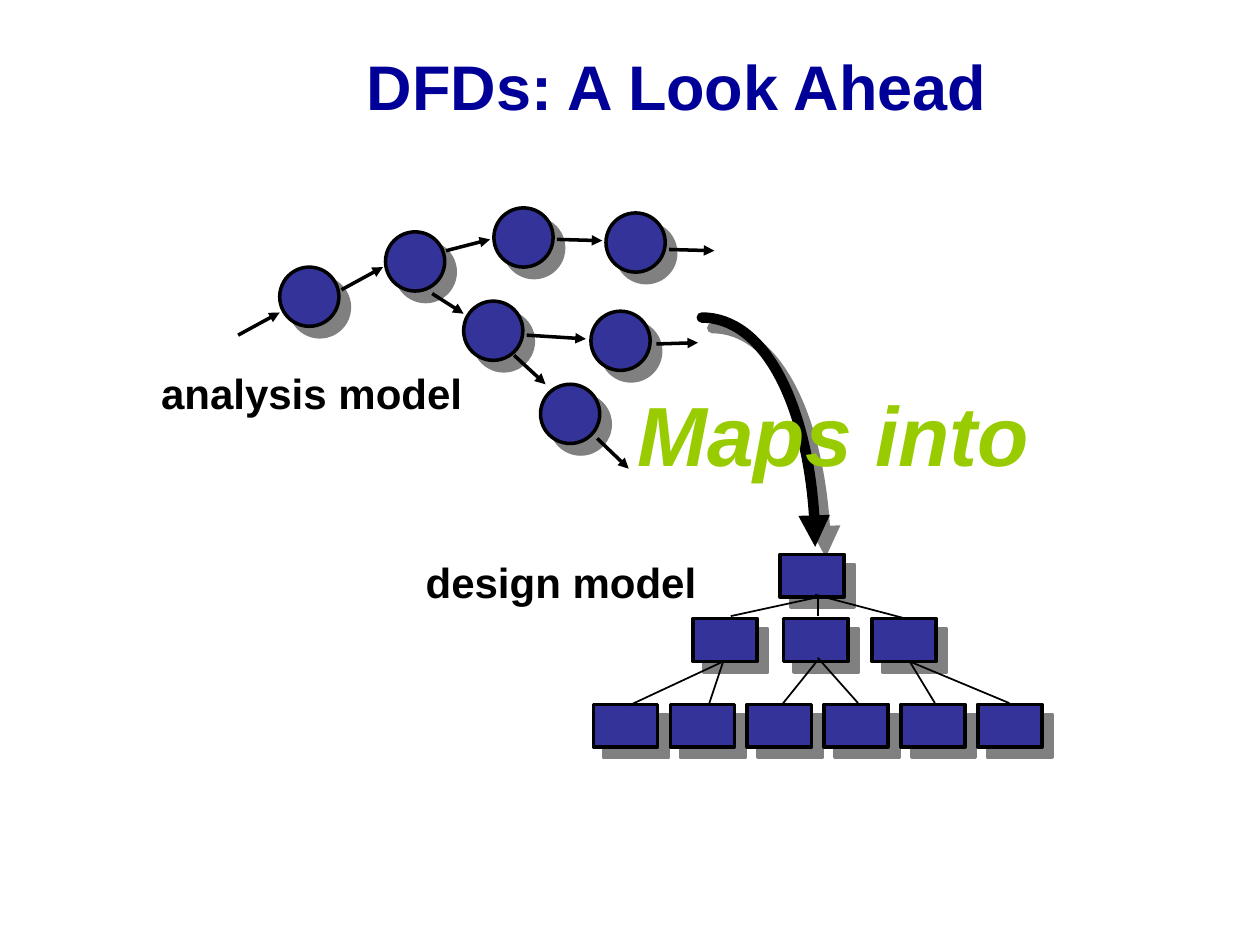
from dataclasses import dataclass

from lxml.etree import SubElement
from pptx import Presentation
from pptx.dml.color import RGBColor
from pptx.enum.shapes import MSO_CONNECTOR, MSO_SHAPE
from pptx.enum.text import MSO_ANCHOR, MSO_AUTO_SIZE, PP_ALIGN
from pptx.oxml.ns import qn
from pptx.util import Inches, Pt


@dataclass(frozen=True)
class Theme:
    font: str = "Arial"
    title: RGBColor = RGBColor(0x00, 0x00, 0x99)
    accent: RGBColor = RGBColor(0x99, 0xCC, 0x00)
    node: RGBColor = RGBColor(0x33, 0x33, 0x99)
    ink: RGBColor = RGBColor(0x00, 0x00, 0x00)
    shadow: RGBColor = RGBColor(0x80, 0x80, 0x80)
    title_size: int = 36
    callout_size: int = 48
    label_size: int = 24


THEME = Theme()

CIRCLE = 0.47
BOX_W, BOX_H = 0.51, 0.34

PROCESSES = [(2.22, 2.12), (3.06, 1.84), (3.92, 1.65), (3.68, 2.39),
             (4.29, 3.05), (4.81, 1.69), (4.69, 2.47)]
FLOWS = [
    ((1.89, 2.66), (2.22, 2.48)),
    ((2.71, 2.3), (3.04, 2.12)),
    ((3.54, 1.99), (3.89, 1.9)),
    ((4.42, 1.9), (4.78, 1.91)),
    ((5.31, 1.98), (5.67, 1.99)),
    ((3.43, 2.33), (3.68, 2.49)),
    ((4.08, 2.82), (4.33, 3.05)),
    ((4.74, 3.48), (4.99, 3.72)),
    ((5.21, 2.73), (5.54, 2.72)),
    ((4.18, 2.66), (4.65, 2.69)),
]
# Top of each level of the hierarchy and the left edges of its modules
LEVELS = [
    (4.4, [6.19]),
    (4.91, [5.5, 6.22, 6.92]),
    (5.59, [4.71 + 0.61 * i for i in range(6)]),
]
BRANCHES = [
    ((6.49, 4.74), (5.8, 4.89)),
    ((6.49, 4.74), (6.49, 4.89)),
    ((6.47, 4.72), (7.19, 4.91)),
    ((5.74, 5.25), (4.99, 5.6)),
    ((5.74, 5.25), (5.63, 5.58)),
    ((6.49, 5.24), (6.2, 5.6)),
    ((6.49, 5.22), (6.81, 5.58)),
    ((7.22, 5.25), (7.42, 5.58)),
    ((7.22, 5.25), (8.01, 5.58)),
]


def set_line(shape, width):
    shape.line.color.rgb = THEME.ink
    shape.line.width = Pt(width)


def add_arrowhead(shape):
    SubElement(shape.line._get_or_add_ln(), qn("a:tailEnd"), type="triangle")


def add_hard_shadow(shape):
    """Give the shape an unblurred shadow down and to the right."""
    shape.shadow.inherit = False
    effects = shape._element.spPr.find(qn("a:effectLst"))
    shadow = SubElement(effects, qn("a:outerShdw"), blurRad="0",
                        dist=str(Pt(8.5)), dir=str(45 * 60000),
                        algn="ctr", rotWithShape="0")
    SubElement(shadow, qn("a:srgbClr"), val=str(THEME.shadow))


def add_node(s, kind, x, y, w, h):
    node = s.shapes.add_shape(kind, Inches(x), Inches(y), Inches(w), Inches(h))
    node.fill.solid()
    node.fill.fore_color.rgb = THEME.node
    set_line(node, 2)
    add_hard_shadow(node)


def add_line(s, start, end, width, arrow=False):
    line = s.shapes.add_connector(MSO_CONNECTOR.STRAIGHT,
                                  *map(Inches, start + end))
    set_line(line, width)
    if arrow:
        add_arrowhead(line)
    SubElement(line._element.spPr, qn("a:effectLst"))


def add_text(s, text, x, y, w, h, size, color, italic=False):
    sp = s.shapes.add_textbox(Inches(x), Inches(y), Inches(w), Inches(h))
    tf = sp.text_frame
    tf.text = text
    tf.word_wrap = False
    tf.auto_size = MSO_AUTO_SIZE.SHAPE_TO_FIT_TEXT
    font = tf.paragraphs[0].runs[0].font
    font.name, font.size, font.color.rgb = THEME.font, Pt(size), color
    font.bold, font.italic = True, italic
    return tf


def add_title(s, text):
    tf = add_text(s, text, 1.52, 0.21, 7.7, 0.93, THEME.title_size, THEME.title)
    tf.word_wrap = True
    tf.auto_size = MSO_AUTO_SIZE.NONE
    tf.vertical_anchor = MSO_ANCHOR.MIDDLE
    tf.paragraphs[0].alignment = PP_ALIGN.CENTER


def add_mapping_arrow(s):
    """Draw the thick Bezier arrow from the analysis to the design model."""
    points = [(5.57, 2.52), (6.07, 2.52), (6.47, 3.33), (6.47, 4.34)]
    start, *rest = [(Inches(x), Inches(y)) for x, y in points]
    builder = s.shapes.build_freeform(*start)
    builder.add_line_segments(rest, close=False)
    arrow = builder.convert_to_shape()

    path = next(arrow._element.iter(qn("a:path")))
    curve = SubElement(path, qn("a:cubicBezTo"))
    for segment in path.findall(qn("a:lnTo")):
        curve.append(segment[0])
        path.remove(segment)

    arrow.fill.background()
    set_line(arrow, 6)
    arrow.line._get_or_add_ln().set("cap", "rnd")
    add_arrowhead(arrow)
    add_hard_shadow(arrow)


def add_analysis_model(s):
    for x, y in PROCESSES:
        add_node(s, MSO_SHAPE.OVAL, x, y, CIRCLE, CIRCLE)
    for start, end in FLOWS:
        add_line(s, start, end, 2, arrow=True)
    add_text(s, "analysis model", 1.18, 2.87, 2.59, 0.5,
             THEME.label_size, THEME.ink)


def add_design_model(s):
    for top, lefts in LEVELS:
        for left in lefts:
            add_node(s, MSO_SHAPE.RECTANGLE, left, top, BOX_W, BOX_H)
    add_text(s, "design model", 3.28, 4.37, 2.35, 0.5,
             THEME.label_size, THEME.ink)
    for start, end in BRANCHES:
        add_line(s, start, end, 1)


def main():
    prs = Presentation()
    prs.slide_width, prs.slide_height = Inches(10), Inches(7.5)
    s = prs.slides.add_slide(prs.slide_layouts[6])
    add_mapping_arrow(s)
    add_text(s, "Maps into", 4.96, 2.99, 3.31, 0.9,
             THEME.callout_size, THEME.accent, italic=True)
    add_title(s, "DFDs: A Look Ahead")
    add_analysis_model(s)
    add_design_model(s)
    prs.save("out.pptx")


if __name__ == "__main__":
    main()
